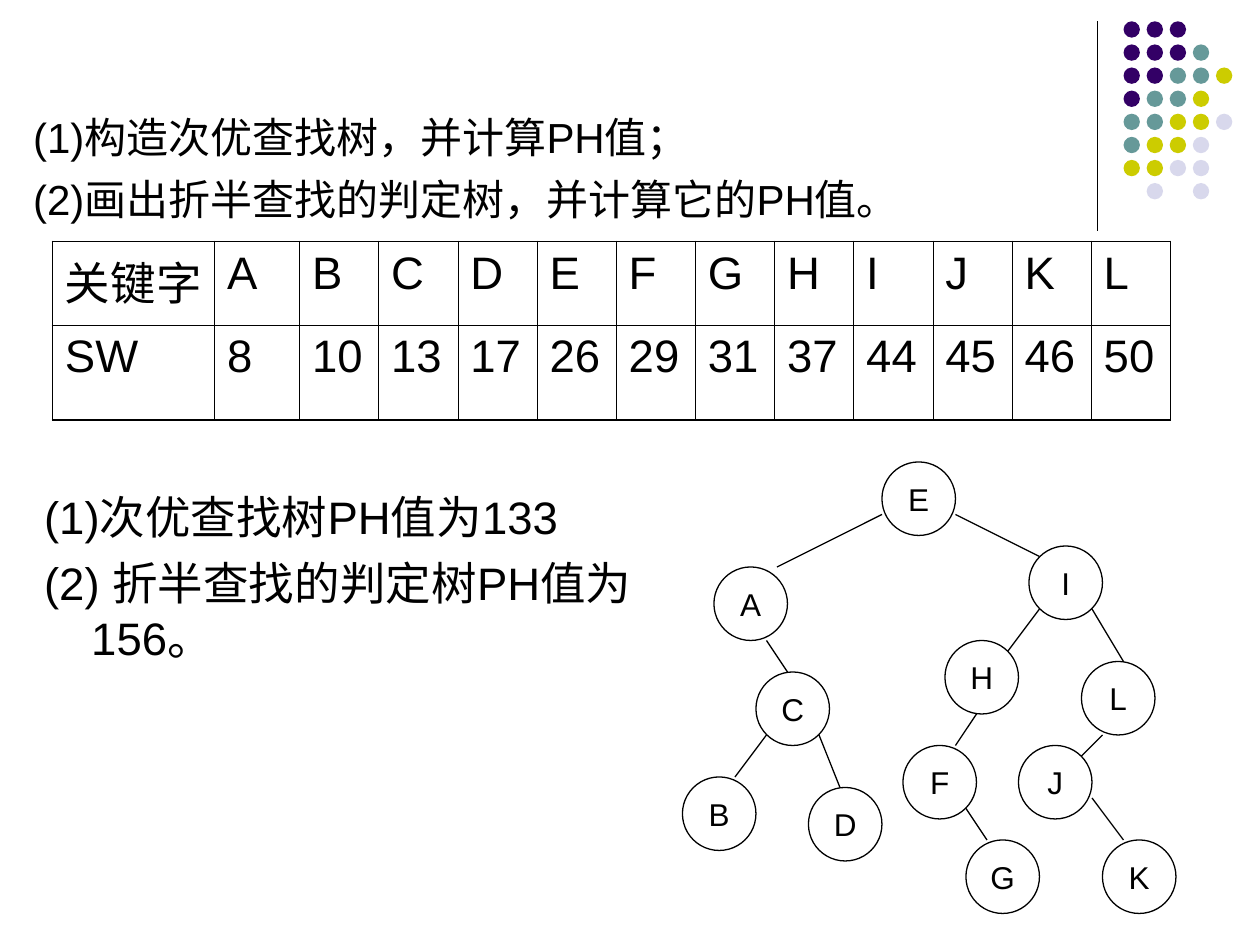
"""Build a slide on the second-best search tree and its PH values."""
from lxml.etree import SubElement
from pptx import Presentation
from pptx.dml.color import RGBColor
from pptx.enum.shapes import MSO_CONNECTOR, MSO_SHAPE
from pptx.enum.text import MSO_ANCHOR, PP_ALIGN
from pptx.oxml.ns import qn
from pptx.util import Cm, Pt

BLACK = RGBColor(0x00, 0x00, 0x00)
DOT_COLOURS = {
    "P": RGBColor(0x33, 0x00, 0x66),
    "T": RGBColor(0x66, 0x99, 0x99),
    "Y": RGBColor(0xCC, 0xCC, 0x00),
    "L": RGBColor(0xD8, 0xD8, 0xEC),
}
FONT = "Arial"

DOT_ROWS = ["PPP", "PPPT", "PPTTY", "PTTY", "TTYYL", "TYYL", "YYLL", ".L.L"]
TASKS = ["(1)构造次优查找树，并计算PH值；", "(2)画出折半查找的判定树，并计算它的PH值。"]
ANSWERS = ["(1)次优查找树PH值为133", "(2) 折半查找的判定树PH值为156。"]
WEIGHTS = [
    ["关键字", "A", "B", "C", "D", "E", "F", "G", "H", "I", "J", "K", "L"],
    ["SW", "8", "10", "13", "17", "26", "29", "31", "37", "44", "45", "46", "50"],
]
TREE_NODES = {
    "E": (84, 44), "A": (68, 54), "I": (98, 52), "C": (72, 64),
    "H": (90, 61), "L": (103, 63), "B": (65, 74), "D": (77, 75),
    "F": (86, 71), "J": (97, 71), "G": (92, 80), "K": (105, 80),
}
TREE_EDGES = [
    (74, 54, 84, 49), (91, 49, 99, 53), (73, 61, 75, 64), (96, 62, 99, 58),
    (104, 58, 107, 63), (70, 74, 73, 70), (78, 70, 80, 75), (91, 71, 93, 68),
    (103, 72, 105, 70), (92, 77, 94, 80), (104, 76, 107, 80),
]
NODE_SIZE = 7
TREE_GRID = 2.54 / 12
DOT_LEFT, DOT_TOP, DOT_SIZE, DOT_PITCH = 22.65, 0.43, 0.33, 3.26 / 7
TABLE_WIDTH, LABEL_WIDTH, FIRST_KEY_WIDTH = 22.54, 3.27, 1.71
KEY_WIDTH = (TABLE_WIDTH - LABEL_WIDTH - FIRST_KEY_WIDTH) / 11
COLUMN_WIDTHS = [LABEL_WIDTH, FIRST_KEY_WIDTH] + [KEY_WIDTH] * 11
ROW_HEIGHTS = [1.69, 1.9]
CELL_LEFT, CELL_RIGHT = 0.25, 0.15
OUTER_BORDER, INNER_BORDER = 1.08, 0.45


def on_grid(*steps):
    return [Cm(step * TREE_GRID) for step in steps]


def write(paragraph, text, size):
    run = paragraph.add_run()
    run.text = text
    run.font.name = FONT
    run.font.size = Pt(size)
    run.font.color.rgb = BLACK


def add_line(slide, ends):
    line = slide.shapes.add_connector(MSO_CONNECTOR.STRAIGHT, *ends)
    line.line.color.rgb = BLACK
    line.line.width = Pt(0.75)
    SubElement(line._element.spPr, qn("a:effectLst"))


def add_dots(slide):
    dots = slide.shapes.add_group_shape().shapes
    for row, colours in enumerate(DOT_ROWS):
        for column, colour in enumerate(colours):
            if colour not in DOT_COLOURS:
                continue
            dot = dots.add_shape(
                MSO_SHAPE.OVAL, Cm(DOT_LEFT + column * DOT_PITCH),
                Cm(DOT_TOP + row * DOT_PITCH), Cm(DOT_SIZE), Cm(DOT_SIZE))
            dot.shadow.inherit = False
            dot.fill.solid()
            dot.fill.fore_color.rgb = DOT_COLOURS[colour]
            dot.line.fill.background()


def add_numbered(slide, items, left, top, width, height, size):
    frame = slide.shapes.add_textbox(Cm(left), Cm(top), Cm(width), Cm(height)).text_frame
    frame.word_wrap = True
    for number, item in enumerate(items):
        paragraph = frame.add_paragraph() if number else frame.paragraphs[0]
        if number:
            paragraph.space_before = Pt(6.5)
        properties = paragraph._p.get_or_add_pPr()
        properties.set("marL", str(Cm(0.95)))
        properties.set("indent", str(Cm(-0.95)))
        write(paragraph, item, size)


def set_borders(cell, outer_sides):
    properties = cell._tc.get_or_add_tcPr()
    for position, (side, outer) in enumerate(outer_sides.items()):
        width = Pt(OUTER_BORDER if outer else INNER_BORDER)
        border = properties.makeelement(qn(f"a:ln{side}"), {"w": str(width)})
        fill = SubElement(border, qn("a:solidFill"))
        SubElement(fill, qn("a:srgbClr"), val=str(BLACK))
        properties.insert(position, border)


def add_weights(slide):
    last_row, last_column = len(WEIGHTS) - 1, len(WEIGHTS[0]) - 1
    table = slide.shapes.add_table(
        last_row + 1, last_column + 1, Cm(1.06), Cm(4.87),
        Cm(TABLE_WIDTH), Cm(sum(ROW_HEIGHTS))).table
    table.first_row = table.horz_banding = False
    for column, width in zip(table.columns, COLUMN_WIDTHS):
        column.width = Cm(width)
    for row, height in zip(table.rows, ROW_HEIGHTS):
        row.height = Cm(height)
    for r, values in enumerate(WEIGHTS):
        for c, value in enumerate(values):
            cell = table.cell(r, c)
            cell.margin_left, cell.margin_right = Cm(CELL_LEFT), Cm(CELL_RIGHT)
            cell.fill.background()
            write(cell.text_frame.paragraphs[0], value, 26)
            set_borders(cell, {"L": c == 0, "R": c == last_column,
                               "T": r == 0, "B": r == last_row})


def add_tree(slide):
    for edge in TREE_EDGES:
        add_line(slide, on_grid(*edge))
    for key, corner in TREE_NODES.items():
        node = slide.shapes.add_shape(
            MSO_SHAPE.OVAL, *on_grid(*corner, NODE_SIZE, NODE_SIZE))
        node.shadow.inherit = False
        node.fill.background()
        node.line.color.rgb = BLACK
        node.line.width = Pt(0.75)
        frame = node.text_frame
        frame.word_wrap = False
        frame.vertical_anchor = MSO_ANCHOR.MIDDLE
        frame.paragraphs[0].alignment = PP_ALIGN.CENTER
        write(frame.paragraphs[0], key, 18)


def main():
    deck = Presentation()
    deck.slide_width, deck.slide_height = Cm(25.4), Cm(19.05)
    slide = deck.slides.add_slide(deck.slide_layouts[6])
    add_line(slide, [Cm(22.12), Cm(0.43), Cm(22.12), Cm(4.65)])
    add_dots(slide)
    add_numbered(slide, TASKS, 0.42, 2.12, 21.17, 2.54, 24)
    add_weights(slide)
    add_tree(slide)
    add_numbered(slide, ANSWERS, 0.64, 9.74, 13.12, 4.87, 26)
    deck.save("out.pptx")


if __name__ == "__main__":
    main()
